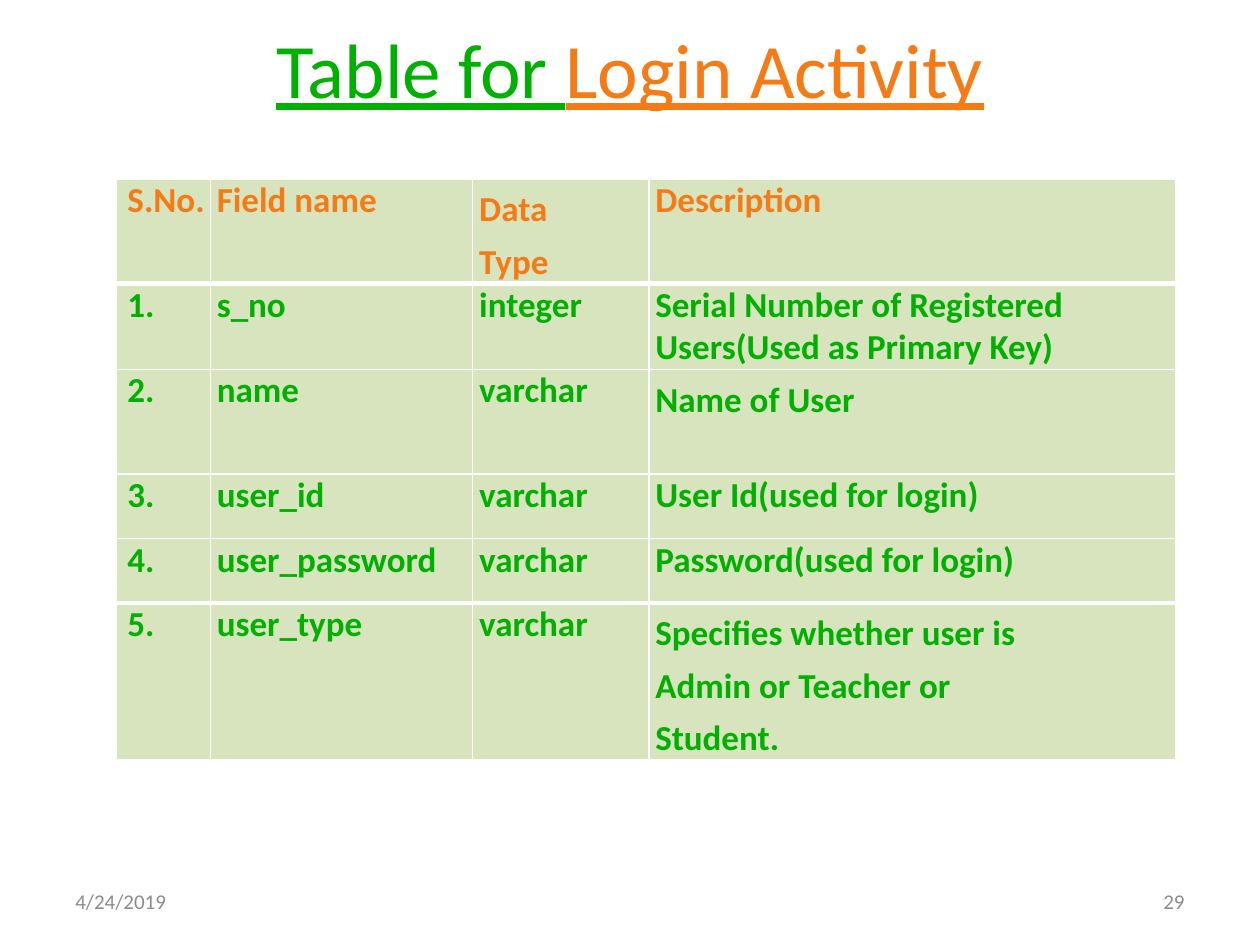
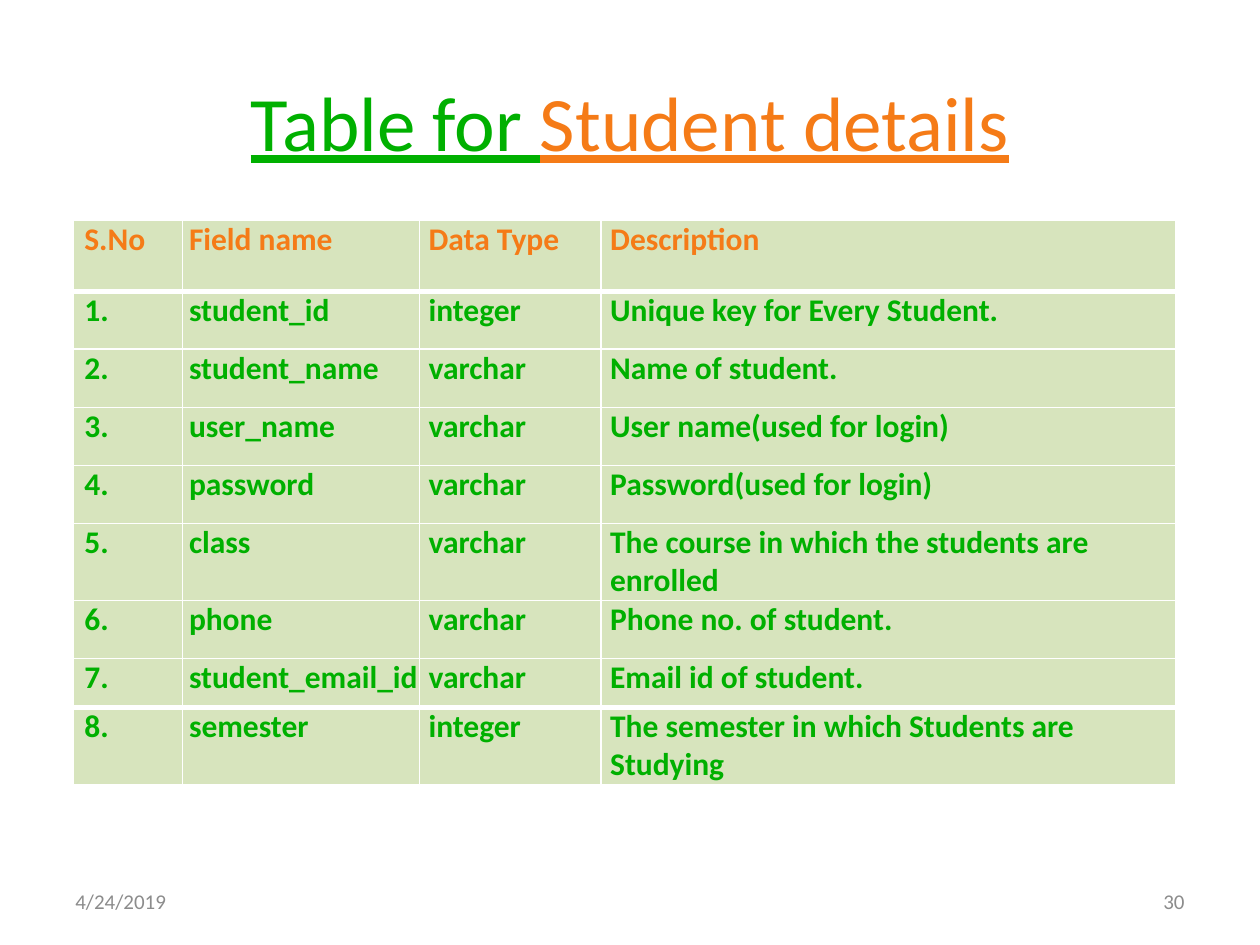
"""Build two slides that describe the database tables of a login system."""
from lxml import etree
from pptx import Presentation
from pptx.dml.color import RGBColor
from pptx.enum.text import MSO_ANCHOR, PP_ALIGN
from pptx.oxml.ns import qn
from pptx.util import Cm, Pt

GREEN = RGBColor(0x00, 0xB0, 0x00)
ORANGE = RGBColor(0xF5, 0x7B, 0x17)
PALE = RGBColor(0xD7, 0xE4, 0xBD)
GREY = RGBColor(0x8C, 0x8C, 0x8C)
WHITE = RGBColor(0xFF, 0xFF, 0xFF)
LEFT, CENTER, RIGHT = PP_ALIGN.LEFT, PP_ALIGN.CENTER, PP_ALIGN.RIGHT
MIDDLE = MSO_ANCHOR.MIDDLE
FONT = "Calibri"
THIN, THICK = 1, 3

LOGIN = [
    ("S.No.", "Field name", "Data Type", "Description"),
    ("1.", "s_no", "integer", "Serial Number of Registered Users(Used as Primary Key)"),
    ("2.", "name", "varchar", "Name of User"),
    ("3.", "user_id", "varchar", "User Id(used for login)"),
    ("4.", "user_password", "varchar", "Password(used for login)"),
    ("5.", "user_type", "varchar", "Specifies whether user is Admin or Teacher or Student."),
]
STUDENT = [
    ("S.No", "Field name", "Data Type", "Description"),
    ("1.", "student_id", "integer", "Unique key for Every Student."),
    ("2.", "student_name", "varchar", "Name of student."),
    ("3.", "user_name", "varchar", "User name(used for login)"),
    ("4.", "password", "varchar", "Password(used for login)"),
    ("5.", "class", "varchar", "The course in which the students are enrolled"),
    ("6.", "phone", "varchar", "Phone no. of student."),
    ("7.", "student_email_id", "varchar", "Email id of student."),
    ("8.", "semester", "integer", "The semester in which Students are Studying"),
]


def write(para, text, size=12, color=GREY, bold=False, line=False,
          align=LEFT, space=None, before=0):
    """Add a formatted run to a paragraph."""
    run = para.add_run()
    run.text = text
    font = run.font
    font.name, font.size, font.bold = FONT, Pt(size), bold
    font.underline = line
    font.color.rgb = color
    para.alignment = align
    para.space_before = Pt(before)
    if space:
        para.line_spacing = space


class Deck:
    """Hold the presentation and the current slide."""

    def __init__(self):
        self.prs = Presentation()
        self.prs.slide_width, self.prs.slide_height = Cm(25.4), Cm(19.05)
        self.slide = None

    def page(self, topic, top, height):
        """Start a slide with a two-colour title."""
        self.slide = self.prs.slides.add_slide(self.prs.slide_layouts[5])
        title = self.slide.shapes.title
        title.left, title.top = Cm(1.27), Cm(top)
        title.width, title.height = Cm(22.86), Cm(height)
        frame = title.text_frame
        frame.vertical_anchor = MIDDLE
        for text, color in (("Table for ", GREEN), (topic, ORANGE)):
            write(frame.paragraphs[0], text, size=44, color=color,
                  line=True, align=CENTER)

    def edges(self, cell, above, below):
        """Draw the white borders of a cell."""
        props = cell._tc.get_or_add_tcPr()
        sides = {"lnL": THIN, "lnR": THIN, "lnT": above, "lnB": below}
        for tag, width in sides.items():
            edge = etree.SubElement(props, qn("a:" + tag), w=str(Pt(width)))
            fill = etree.SubElement(edge, qn("a:solidFill"))
            etree.SubElement(fill, qn("a:srgbClr"), val=str(WHITE))

    def table(self, data, left, top, cols, rows, pads, size, loose):
        """Add a table; loose maps a cell to its right margin."""
        frame = self.slide.shapes.add_table(
            len(rows), len(cols), Cm(left), Cm(top), Cm(sum(cols)), Cm(sum(rows)))
        grid = frame.table
        grid.first_row = grid.horz_banding = False
        for col, width in zip(grid.columns, cols):
            col.width = Cm(width)
        last = len(rows) - 1
        for r, texts in enumerate(data):
            grid.rows[r].height = Cm(rows[r])
            head = r == 0
            for c, text in enumerate(texts):
                cell = grid.cell(r, c)
                cell.margin_left = Cm(pads[c])
                cell.margin_right = Cm(loose.get((r, c), 0))
                cell.margin_top = cell.margin_bottom = 0
                self.edges(cell, THICK if r in (1, last) else THIN,
                           THICK if r in (0, last - 1) else THIN)
                cell.fill.solid()
                cell.fill.fore_color.rgb = PALE
                write(cell.text_frame.paragraphs[0], text, size=size, bold=True,
                      color=ORANGE if head else GREEN,
                      before=1.4 if head else 0.1,
                      space=1.22 if (r, c) in loose else None)

    def foot(self, number):
        """Add the date and the slide number."""
        for text, left, align in (("4/24/2019", 1.27, LEFT), (number, 18.2, RIGHT)):
            box = self.slide.shapes.add_textbox(Cm(left), Cm(17.66), Cm(5.93), Cm(1.01))
            frame = box.text_frame
            frame.word_wrap = True
            frame.vertical_anchor = MIDDLE
            write(frame.paragraphs[0], text, align=align)


def main():
    """Build and save the slides."""
    deck = Deck()

    deck.page("Login Activity", 0.2, 2.34)
    deck.table(LOGIN, 2.34, 3.61, cols=(1.9, 5.29, 3.55, 10.62),
               rows=(2.11, 1.3, 2.11, 1.3, 1.3, 2.11),
               pads=(0.23, 0.13, 0.13, 0.13), size=20,
               loose={(0, 2): 1, (2, 3): 2.5, (5, 3): 2.5})
    deck.foot("29")

    deck.page("Student details", 0.84, 3.18)
    deck.table(STUDENT, 1.47, 4.45, cols=(2.21, 4.78, 3.66, 11.58),
               rows=(1.42, *[1.17] * 6, 0.99, 1.17),
               pads=(0.23, 0.13, 0.18, 0.18), size=18, loose={})
    deck.foot("30")

    deck.prs.save("out.pptx")


if __name__ == "__main__":
    main()
